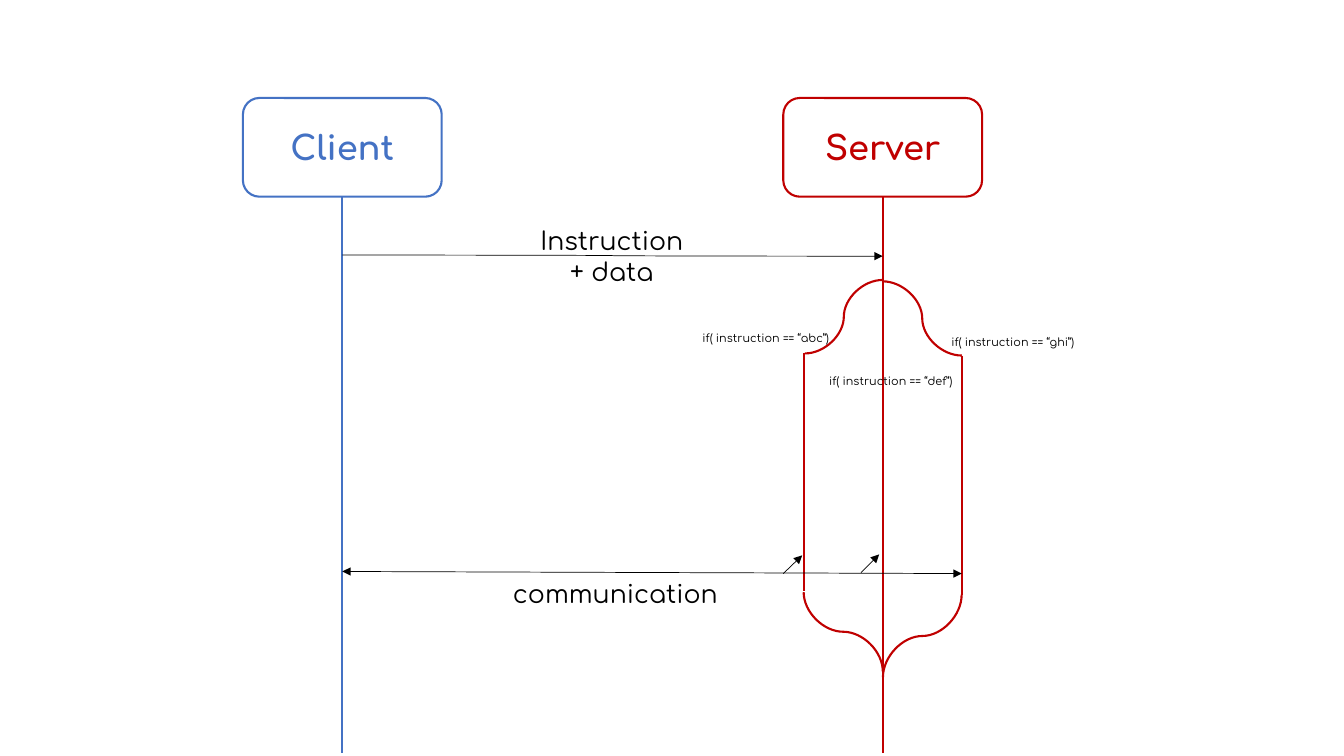
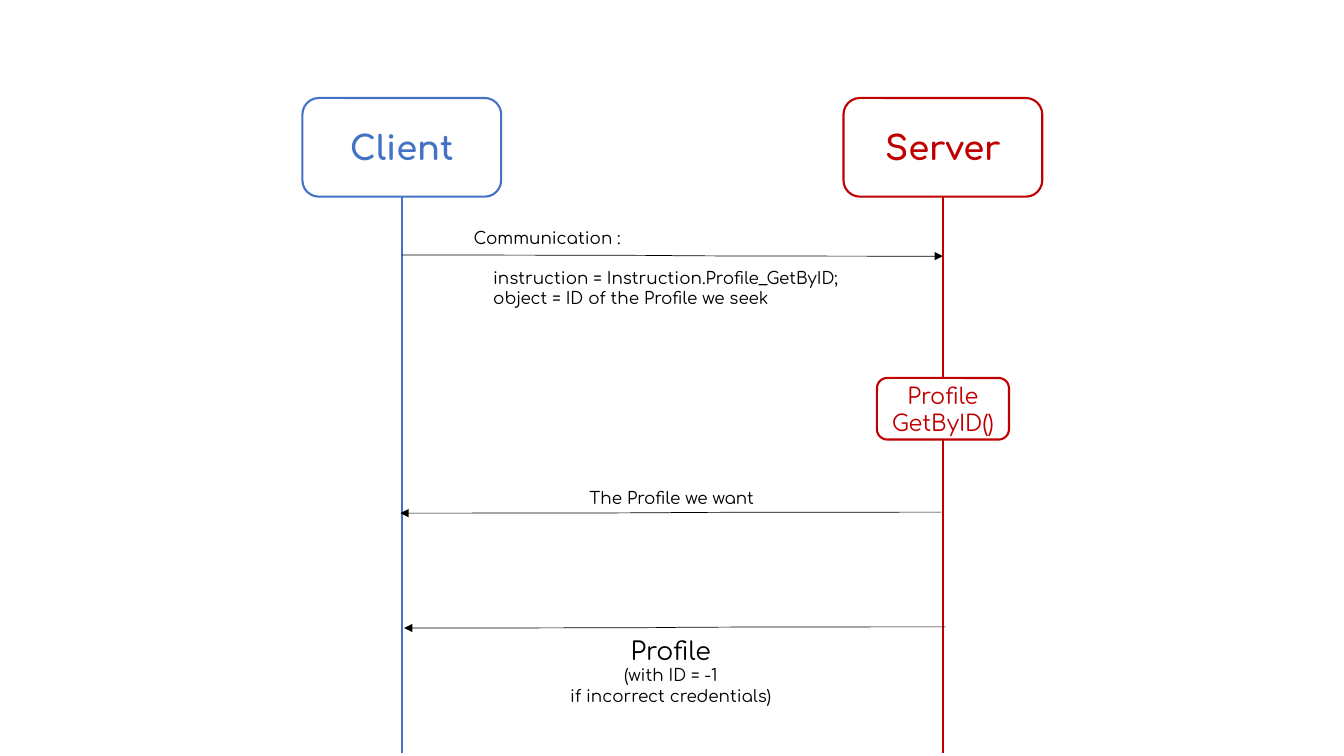
"""Build two client and server sequence diagrams."""
from lxml.etree import SubElement
from pptx import Presentation
from pptx.dml.color import RGBColor
from pptx.enum.shapes import MSO_CONNECTOR as Route, MSO_SHAPE
from pptx.enum.text import MSO_ANCHOR, PP_ALIGN as Align
from pptx.oxml.ns import qn
from pptx.util import Pt

FONT = "Comfortaa"
BLUE, RED, BLACK, WHITE = "4472C4", "C00000", "000000", "FFFFFF"
BOX_TOP, BOX_WIDTH, BOX_HEIGHT = 70, 142, 70.5
LIFELINE_END = 538
colour_of = RGBColor.from_string


def add_text(slide, place, lines, size, colour=BLACK, boxed=False, bold=False):
    left, top, width, height = [Pt(length) for length in place]
    if boxed:
        shape = slide.shapes.add_shape(
            MSO_SHAPE.ROUNDED_RECTANGLE, left, top, width, height)
        shape.shadow.inherit = False
        shape.fill.solid()
        shape.fill.fore_color.rgb = colour_of(WHITE)
        shape.line.color.rgb = colour_of(colour)
        shape.line.width = Pt(1.5)
        shape.text_frame.vertical_anchor = MSO_ANCHOR.MIDDLE
    else:
        shape = slide.shapes.add_textbox(left, top, width, height)
    shape.text_frame.word_wrap = True
    shape.text_frame.text = "\n".join(lines)
    for paragraph in shape.text_frame.paragraphs:
        paragraph.alignment = Align.CENTER
        paragraph.font.name = FONT
        paragraph.font.size = Pt(size)
        paragraph.font.bold = bold
        paragraph.font.color.rgb = colour_of(colour)
    return shape


def add_line(slide, route, points, colour=BLACK, width=0.5, arrows=()):
    connector = slide.shapes.add_connector(route, *[Pt(length) for length in points])
    connector.line.color.rgb = colour_of(colour)
    connector.line.width = Pt(width)
    properties = connector._element.spPr
    for arrow in arrows:
        SubElement(properties.find(qn("a:ln")), qn(f"a:{arrow}"), type="triangle")
    SubElement(properties, qn("a:effectLst"))
    return connector


presentation = Presentation()
presentation.slide_width, presentation.slide_height = Pt(960), Pt(540)
slides = []
for client_left, server_left in ((173.5, 559.5), (216, 602.5)):
    slide = presentation.slides.add_slide(presentation.slide_layouts[6])
    slides.append(slide)
    for name, left, colour in (("Client", client_left, BLUE), ("Server", server_left, RED)):
        box = add_text(slide, (left, BOX_TOP, BOX_WIDTH, BOX_HEIGHT), [name], 24,
                       colour, boxed=True, bold=True)
        middle = left + BOX_WIDTH / 2
        lifeline = add_line(slide, Route.STRAIGHT,
                            (middle, BOX_TOP + BOX_HEIGHT, middle, LIFELINE_END), colour, 1.5)
        lifeline.begin_connect(box, 2)
branch_slide, profile_slide = slides

for route, points, rotation in (
    (Route.STRAIGHT, (687, 254, 687, 425), 0),
    (Route.STRAIGHT, (574.5, 252.5, 574.5, 422.5), 0),
    (Route.CURVE, (575, 252.5, 630.5, 200), 0),
    (Route.CURVE, (687, 254, 630.5, 201), 0),
    (Route.CURVE, (630.5, 423, 574, 479.5), 270),
    (Route.CURVE, (629.3, 426.2, 688.3, 482.4), 90),
):
    branch = add_line(branch_slide, route, points, RED, 1.5)
    branch.rotation = rotation

add_line(branch_slide, Route.CURVE, (244.5, 182.2, 630.5, 183), arrows=["tailEnd"])
add_line(branch_slide, Route.STRAIGHT, (244.5, 408.2, 687, 409.7),
         arrows=["headEnd", "tailEnd"])
for points in ((559.5, 409.7, 573, 396.7), (615, 409, 628, 396)):
    add_line(branch_slide, Route.STRAIGHT, points, arrows=["tailEnd"])

add_text(branch_slide, (373.7, 157.7, 126.7, 51), ["Instruction", "+ data"], 18)
add_text(branch_slide, (349.2, 409.7, 180.7, 29), ["communication"], 18)
for value, left, top in (("abc", 483.8, 233.3), ("def", 573.1, 263.5), ("ghi", 660.2, 236.2)):
    add_text(branch_slide, (left, top, 126.7, 17.3), [f"if( instruction == “{value}”)"], 8)

for points in (
    (287, 182.2, 673.5, 183),
    (672.5, 365.8, 286, 366.5),
    (675.5, 447.8, 288.7, 448.6),
):
    add_line(profile_slide, Route.CURVE, points, arrows=["tailEnd"])

add_text(profile_slide, (626.4, 270, 94.3, 44), ["Profile", "GetByID()"], 16, RED, boxed=True)
add_text(profile_slide, (362.2, 345, 235.4, 21.6), ["The Profile we want"], 12)

request = add_text(profile_slide, (331.2, 159, 290.2, 87), [
    "Communication :",
    "instruction = Instruction.Profile_GetByID;",
    "object = ID of the Profile we seek",
], 12)
heading, *details = request.text_frame.paragraphs
heading.alignment = Align.JUSTIFY
heading.space_after = Pt(14.3)
for paragraph in details:
    paragraph.alignment = Align.JUSTIFY
    paragraph._p.get_or_add_pPr().set("marL", str(Pt(14)))

reply = add_text(profile_slide, (388.8, 450, 180.7, 58.3),
                 ["Profile", "(with ID = -1", "if incorrect credentials)"], 12)
reply.text_frame.paragraphs[0].font.size = Pt(18)

presentation.save("out.pptx")
